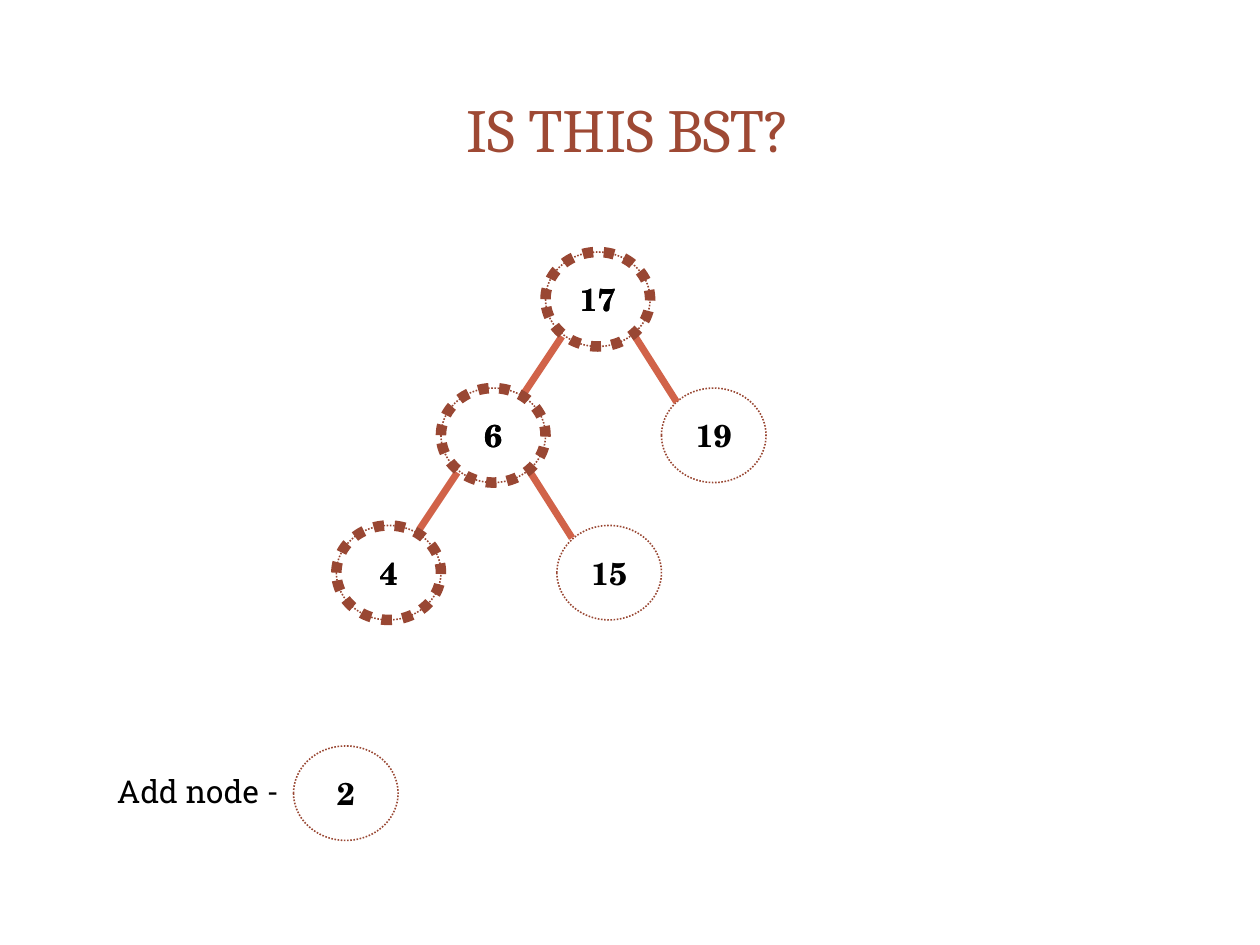
from pptx import Presentation
from pptx.dml.color import RGBColor
from pptx.enum import dml, shapes, text
from pptx.oxml.ns import qn
from pptx.util import Inches, Pt
from lxml import etree

TITLE = "IS THIS BST?"
PROMPT = "Add node -"
NEW_VALUE = "2"
# value: (left, top)
TREE = {
    "17": (4.33, 2),
    "6": (3.5, 3.08),
    "19": (5.25, 3.08),
    "4": (2.67, 4.17),
    "15": (4.42, 4.17),
}
CHILDREN = {"17": ("6", "19"), "6": ("4", "15")}
SEARCH_TRAIL = ["17", "6", "4"]
NEW_NODE_AT = (2.33, 5.92)

NODE_W, NODE_H = 0.83, 0.75
# Edge start and end, measured from the parent's top left corner
LEFT_EDGE = ((0.13, 0.67), (-0.17, 1.12))
RIGHT_EDGE = ((0.71, 0.67), (1.04, 1.19))

BLACK, RUST, ORANGE, TITLE_RUST = "000000", "994733", "D16349", "9E4934"


def color(hex_value):
    return RGBColor.from_string(hex_value)


def add_run(paragraph, words, size, font, hex_value, bold=False):
    run = paragraph.add_run()
    run.text = words
    run.font.size = Pt(size)
    run.font.name = font
    run.font.bold = bold
    run.font.color.rgb = color(hex_value)


def add_node(slide, value, place, outline=0.91):
    left, top = place
    node = slide.shapes.add_shape(shapes.MSO_SHAPE.OVAL, Inches(left), Inches(top),
                                  Inches(NODE_W), Inches(NODE_H))
    node.shadow.inherit = False
    node.fill.background()
    node.line.color.rgb = color(RUST)
    node.line.width = Pt(outline)
    node.line.dash_style = dml.MSO_LINE.ROUND_DOT  # written as sysDot
    frame = node.text_frame
    frame.vertical_anchor = text.MSO_ANCHOR.MIDDLE
    frame.paragraphs[0].alignment = text.PP_ALIGN.CENTER
    add_run(frame.paragraphs[0], value, 18, "TeX Gyre Schola", BLACK, bold=True)


def add_edge(slide, parent_at, offsets):
    ends = [Inches(base + shift) for offset in offsets
            for base, shift in zip(parent_at, offset)]
    edge = slide.shapes.add_connector(shapes.MSO_CONNECTOR.STRAIGHT, *ends)
    edge.line.color.rgb = color(ORANGE)
    edge.line.width = Pt(4)
    etree.SubElement(edge._element.spPr, qn("a:effectLst"))


def add_label(slide, box, words, size, font, hex_value, wrap, align, anchor):
    label = slide.shapes.add_textbox(*map(Inches, box))
    frame = label.text_frame
    frame.word_wrap = wrap
    frame.vertical_anchor = anchor
    frame.paragraphs[0].alignment = align
    add_run(frame.paragraphs[0], words, size, font, hex_value)


def main():
    deck = Presentation()
    deck.slide_width, deck.slide_height = Inches(10), Inches(7.5)
    slide = deck.slides.add_slide(deck.slide_layouts[6])

    for value, place in TREE.items():
        add_node(slide, value, place)
    for parent in CHILDREN:
        for offsets in (LEFT_EDGE, RIGHT_EDGE):
            add_edge(slide, TREE[parent], offsets)

    add_node(slide, NEW_VALUE, NEW_NODE_AT)
    add_label(slide, (0.83, 6.08, 1.55, 0.4), PROMPT, 18, "Roboto Slab", BLACK,
              False, text.PP_ALIGN.LEFT, text.MSO_ANCHOR.TOP)
    for value in SEARCH_TRAIL:
        add_node(slide, value, TREE[value], outline=6)
    add_label(slide, (0.47, 0.45, 9.03, 1.14), TITLE, 35, "Cambria", TITLE_RUST,
              True, text.PP_ALIGN.CENTER, text.MSO_ANCHOR.MIDDLE)

    deck.save("out.pptx")


if __name__ == "__main__":
    main()
